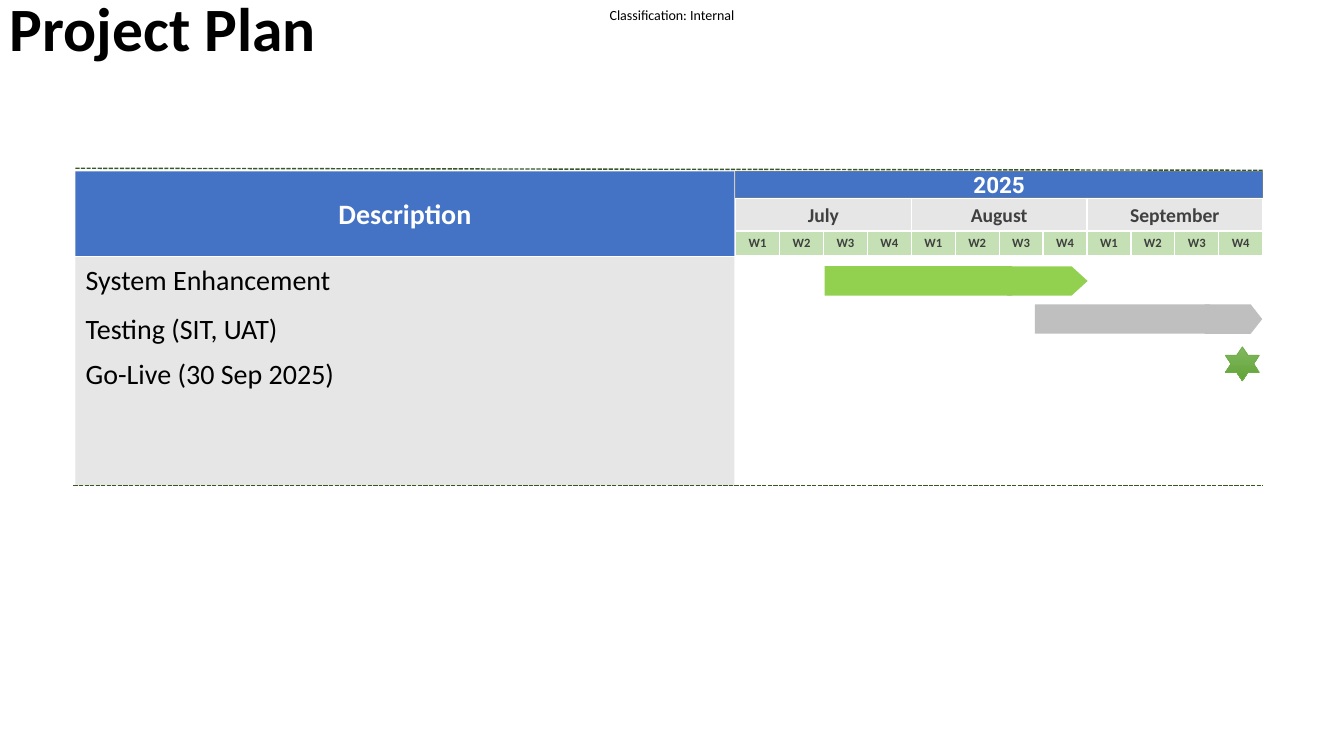
import lxml.etree
import pptx
import pptx.dml.color
import pptx.enum.dml
import pptx.enum.shapes
import pptx.enum.text
import pptx.oxml.ns
import pptx.util

Cm = pptx.util.Cm
Pt = pptx.util.Pt
RGBColor = pptx.dml.color.RGBColor
SHAPE = pptx.enum.shapes.MSO_SHAPE
ALIGN = pptx.enum.text.PP_ALIGN
ANCHOR = pptx.enum.text.MSO_ANCHOR
qn = pptx.oxml.ns.qn

BLACK = RGBColor(0x00, 0x00, 0x00)
WHITE = RGBColor(0xFF, 0xFF, 0xFF)
DARK_GRAY = RGBColor(0x40, 0x40, 0x40)
LIGHT_GRAY = RGBColor(0xE7, 0xE6, 0xE6)
BLUE = RGBColor(0x44, 0x72, 0xC4)
YEAR_OUTLINE = RGBColor(0x65, 0x7D, 0x9D)
WEEK_GREEN = RGBColor(0xC5, 0xE0, 0xB4)
BAR_GREEN = RGBColor(0x92, 0xD0, 0x50)
BAR_GRAY = RGBColor(0xBF, 0xBF, 0xBF)
RULE_GREEN = RGBColor(0x38, 0x57, 0x23)
STAR_TOP = RGBColor(0x81, 0xB8, 0x61)
STAR_BOTTOM = RGBColor(0x62, 0xA3, 0x36)
STAR_OUTLINE = RGBColor(0x70, 0xAD, 0x47)

MONTHS = ["July", "August", "September"]
WEEKS = ["W1", "W2", "W3", "W4"]
# Task and the space before it in points
TASKS = [("System Enhancement", 0), ("Testing (SIT, UAT)", 11), ("Go-Live (30 Sep 2025)", 8.5)]


def add_text(paragraph, text, size, color, bold=False, align=ALIGN.CENTER, font="Calibri"):
    paragraph.alignment = align
    run = paragraph.add_run()
    run.text = text
    run.font.name = font
    run.font.size = Pt(size)
    run.font.bold = bold
    run.font.color.rgb = color


def add_block(shapes, kind, left, top, width, height, color):
    """Add a flat shape without outline; lengths in centimetres."""
    shape = shapes.add_shape(kind, Cm(left), Cm(top), Cm(width), Cm(height))
    shape.shadow.inherit = False
    shape.fill.solid()
    shape.fill.fore_color.rgb = color
    shape.line.fill.background()
    shape.text_frame.word_wrap = True
    shape.text_frame.vertical_anchor = ANCHOR.MIDDLE
    return shape


def add_text_box(slide, left, top, width, height):
    frame = slide.shapes.add_textbox(Cm(left), Cm(top), Cm(width), Cm(height)).text_frame
    frame.word_wrap = True
    frame.vertical_anchor = ANCHOR.MIDDLE
    return frame


def add_headings(slide):
    classification = add_text_box(slide, 14.94, 0, 3.99, 0.74)
    classification.margin_left = classification.margin_right = 0
    classification.margin_top = classification.margin_bottom = 0
    add_text(classification.paragraphs[0], "Classification: Internal", 10, BLACK)

    title = add_text_box(slide, 0, -0.2, 29.2, 2)
    title.paragraphs[0].line_spacing = 0.9
    add_text(title.paragraphs[0], "Project Plan", 44, BLACK, True, ALIGN.LEFT)


def add_description(slide, left, top, width, header_height, body_height):
    header = add_block(slide.shapes, SHAPE.RECTANGLE, left, top, width, header_height, BLUE)
    add_text(header.text_frame.paragraphs[0], "Description", 20, WHITE, True)

    body = add_block(slide.shapes, SHAPE.RECTANGLE, left, top + header_height + 0.03,
                     width, body_height, LIGHT_GRAY)
    frame = body.text_frame
    frame.vertical_anchor = ANCHOR.TOP
    frame.margin_left = Cm(0.26)
    for index, (task, space) in enumerate(TASKS):
        paragraph = frame.add_paragraph() if index else frame.paragraphs[0]
        if space:
            paragraph.space_before = Pt(space)
        add_text(paragraph, task, 20, BLACK, align=ALIGN.LEFT)


def add_calendar_cell(slide, left, top, width, height, text, size, color):
    """Add a one-cell table with white borders."""
    table = slide.shapes.add_table(1, 1, Cm(left), Cm(top), Cm(width), Cm(height)).table
    table.first_row = table.horz_banding = False
    cell = table.cell(0, 0)
    properties = cell._tc.get_or_add_tcPr()
    for side, points in (("L", 1), ("R", 1), ("T", 1), ("B", 3)):
        border = lxml.etree.SubElement(properties, qn("a:ln" + side), w=str(Pt(points)))
        fill = lxml.etree.SubElement(border, qn("a:solidFill"))
        lxml.etree.SubElement(fill, qn("a:srgbClr"), val=str(WHITE))
    cell.fill.solid()
    cell.fill.fore_color.rgb = color
    add_text(cell.text_frame.paragraphs[0], text, size, DARK_GRAY, True)


def add_calendar(slide, left, top, width):
    year = add_block(slide.shapes, SHAPE.RECTANGLE, left, top, width, 0.66, BLUE)
    year.line.color.rgb = YEAR_OUTLINE
    year.line.width = Pt(0.75)
    add_text(year.text_frame.paragraphs[0], "2025", 16, WHITE, True, font="Roboto")

    month_width = width / len(MONTHS)
    week_width = month_width / len(WEEKS)
    for month_index, month in enumerate(MONTHS):
        month_left = left + month_index * month_width
        add_calendar_cell(slide, month_left, top + 0.68, month_width, 0.82,
                          month, 14, LIGHT_GRAY)
        for week_index, week in enumerate(WEEKS):
            add_calendar_cell(slide, month_left + week_index * week_width, top + 1.5,
                              week_width, 0.66, week, 9, WEEK_GREEN)


def add_task_bar(slide, left, top, width, tip_length, color):
    """Add a bar whose pointed tip ends at its right edge."""
    height = 0.74
    shapes = slide.shapes.add_group_shape().shapes
    # The tip is turned a quarter, so its box is upright around the same centre
    tip = add_block(shapes, SHAPE.FLOWCHART_OFFPAGE_CONNECTOR,
                    left + width - (tip_length + height) / 2,
                    top + (height - tip_length) / 2, height, tip_length, color)
    tip.rotation = 270
    add_block(shapes, SHAPE.RECTANGLE, left, top, width - tip_length + 0.13, height, color)


def add_go_live_star(slide, left, top, size):
    star = add_block(slide.shapes, SHAPE.STAR_6_POINT, left, top, size, size, STAR_TOP)
    star.fill.gradient()
    star.fill.gradient_angle = 270
    for stop, color in zip(star.fill.gradient_stops, (STAR_TOP, STAR_BOTTOM)):
        stop.color.rgb = color
    star.line.color.rgb = STAR_OUTLINE
    star.line.width = Pt(0.5)


def add_dashed_rule(slide, left, top, right, bottom):
    rule = slide.shapes.add_connector(pptx.enum.shapes.MSO_CONNECTOR.STRAIGHT,
                                      Cm(left), Cm(top), Cm(right), Cm(bottom))
    rule.line.color.rgb = RULE_GREEN
    rule.line.width = Pt(1)
    rule.line.dash_style = pptx.enum.dml.MSO_LINE.SQUARE_DOT
    lxml.etree.SubElement(rule._element.spPr, qn("a:effectLst"))


def add_plan(slide, left, top, width, height):
    description_width = 16.61
    calendar_left = left + description_width + 0.03
    right = left + width
    add_description(slide, left, top, description_width, 2.13, height - 2.16)
    add_task_bar(slide, calendar_left + 2.24, top + 2.39, 6.63, 2.03, BAR_GREEN)
    add_task_bar(slide, calendar_left + 7.54, top + 3.35, 5.73, 1.45, BAR_GRAY)
    add_dashed_rule(slide, left, top - 0.08, right, top - 0.03)
    add_dashed_rule(slide, left - 0.05, top + height, right, top + height)
    add_calendar(slide, calendar_left, top, right - calendar_left)
    add_go_live_star(slide, right - 0.94, top + 4.42, 0.86)


def main():
    presentation = pptx.Presentation()
    presentation.slide_width = Cm(33.87)
    presentation.slide_height = Cm(19.05)
    slide = presentation.slides.add_slide(presentation.slide_layouts[6])
    add_headings(slide)
    add_plan(slide, 1.9, 4.32, 29.92, 7.92)
    presentation.save("out.pptx")


if __name__ == "__main__":
    main()
